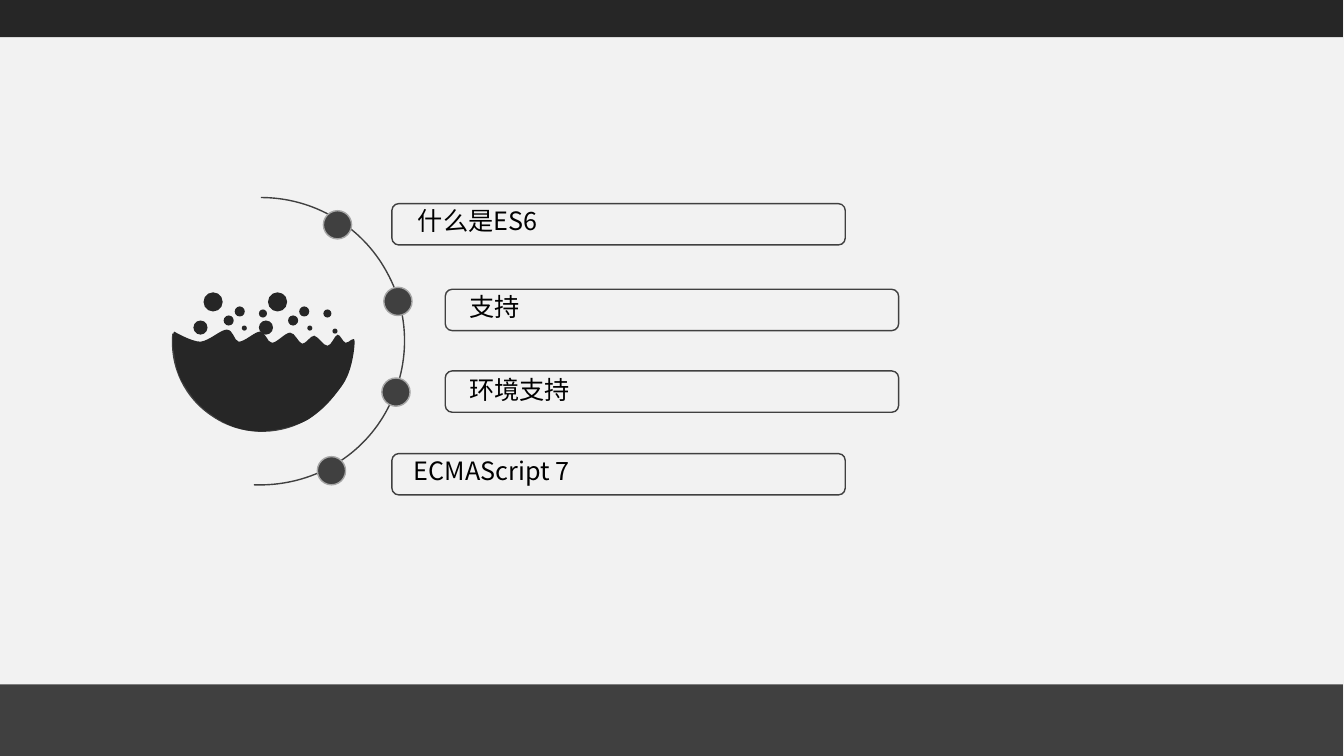
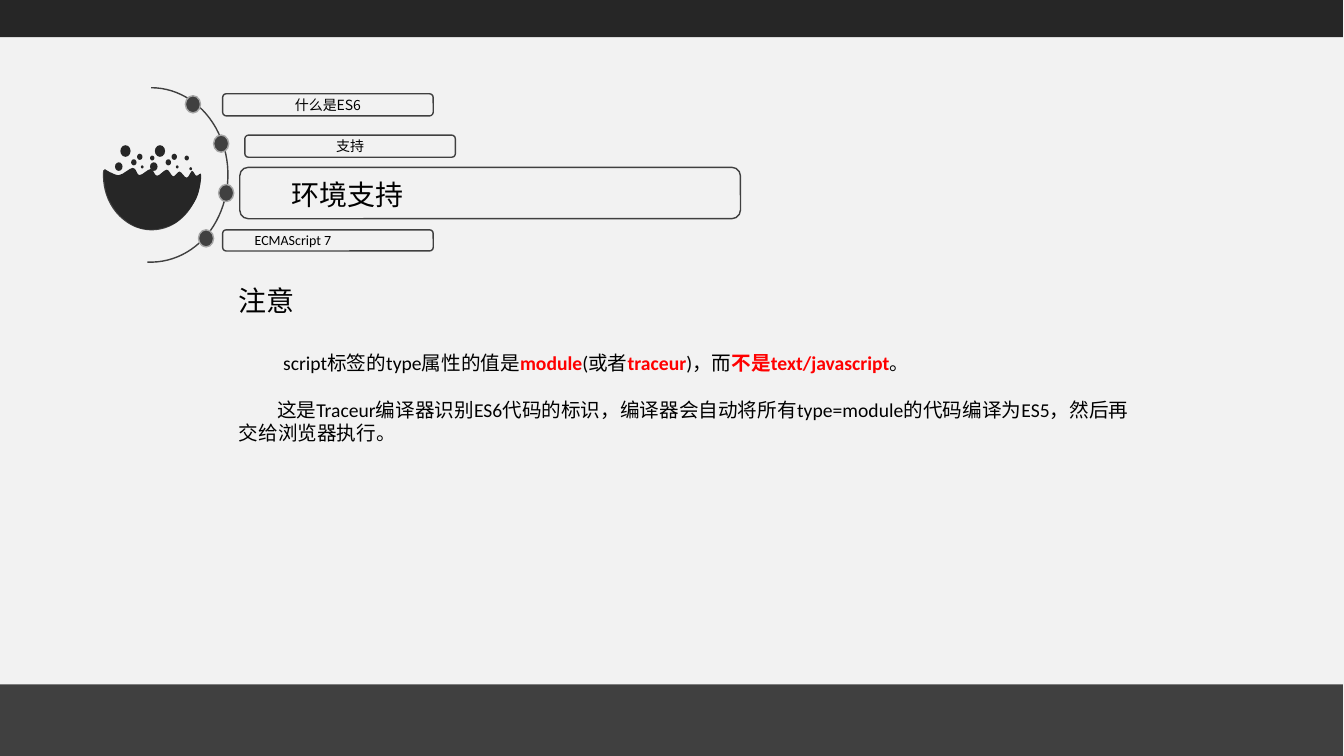
"""Build an agenda slide and a section slide that share a bowl-and-arc motif."""
from lxml.etree import SubElement
from pptx import Presentation
from pptx.dml.color import RGBColor
from pptx.enum.shapes import MSO_SHAPE
from pptx.enum.text import MSO_ANCHOR, MSO_AUTO_SIZE, PP_ALIGN
from pptx.oxml.ns import qn
from pptx.util import Pt

PX = 9144
WIDTH, HEIGHT = 1334, 750

PAPER = RGBColor(0xF2, 0xF2, 0xF2)
DARK = RGBColor(0x26, 0x26, 0x26)
GREY = RGBColor(0x40, 0x40, 0x40)
RIM = RGBColor(0xA6, 0xA6, 0xA6)
BLACK = RGBColor(0, 0, 0)
RED = RGBColor(0xFF, 0, 0)

CJK, LATIN = "Noto Sans CJK SC", "Calibri"

BANDS = [(0, 679, 1333, 71, GREY), (0, 0, 1333, 37, DARK)]

ARC = [
    (259, 196), (311, 196), (359, 224), (384, 270), (409, 315), (407, 370),
    (380, 414), (353, 458), (304, 483), (252, 481),
]
BOWL_RIM = [
    (349, 339), (349, 371), (331, 401), (302, 417), (274, 432), (239, 431),
    (212, 413), (184, 395), (169, 364), (172, 331),
]
BOWL = [
    (173, 329), (173, 329), (190, 339), (199, 339), (208, 338), (219, 327),
    (225, 327), (232, 327), (232, 338), (237, 339), (243, 339), (253, 329),
    (258, 329), (264, 329), (265, 340), (270, 340), (275, 340), (283, 330),
    (288, 330), (293, 330), (296, 340), (300, 341), (304, 341), (308, 333),
    (312, 333), (316, 334), (321, 343), (325, 343), (329, 343), (332, 333),
    (335, 332), (338, 332), (340, 339), (343, 340), (346, 341), (352, 332),
    (352, 339), (352, 345), (350, 364), (343, 377), (336, 390), (319, 407),
    (309, 414), (299, 422), (272, 428), (256, 428), (240, 427), (228, 424),
    (211, 412), (194, 401), (187, 388), (180, 377), (174, 366), (174, 354),
    (172, 346), (171, 338), (172, 328), (173, 329),
]
BUBBLES = [
    (202, 290, 19), (233, 304, 10), (222, 313, 10), (240, 323, 5),
    (257, 307, 8), (192, 318, 14), (266, 290, 19), (297, 304, 10),
    (286, 313, 10), (330, 326, 5), (305, 323, 5), (321, 307, 8),
    (257, 318, 14),
]

AGENDA = {
    "origin": (259, 196), "scale": (1, 1), "dot": (28, 28),
    "dots": [(321, 209), (381, 285), (379, 375), (315, 453)],
    "frames": [
        ("", (389, 202, 450, 41)), ("", (442, 287, 450, 41)),
        ("", (442, 368, 450, 41)), ("", (389, 450, 450, 41)),
    ],
    "labels": [
        ("什么是ES6", (405, 199, 391, 40), 18, CJK),
        ("支持", (456, 284, 373, 40), 18, CJK),
        ("环境支持", (456, 366, 313, 40), 18, CJK),
        ("ECMAScript 7", (401, 447, 313, 40), 18, CJK),
    ],
}
SECTION = {
    "origin": (150, 87), "scale": (0.535, 0.607), "dot": (15, 17),
    "dots": [(184, 95), (212, 134), (217, 183), (197, 228)],
    "frames": [
        ("什么是ES6", (221, 93, 209, 22)), ("支持", (243, 134, 209, 22)),
        ("", (238, 166, 497, 51)), ("", (221, 228, 209, 21)),
    ],
    "labels": [("ECMAScript 7", (243, 225, 167, 27), 10, LATIN)],
}
TITLE, TITLE_BOX = "环境支持", (279, 171, 504, 44)
BODY_BOX = (227, 276, 920, 170)
BODY = [
    {"size": 20, "line": 24, "before": 0, "indent": 0,
     "runs": [("注意", False)]},
    {"size": 14, "line": 16.5, "before": 24.5, "indent": 44,
     "runs": [("script标签的type属性的值是", False), ("module", True),
              ("(或者", False), ("traceur", True), (")，而", False),
              ("不是text/javascript", True), ("。", False)]},
    {"size": 14, "line": 16.5, "before": 17, "indent": 38,
     "runs": [("这是Traceur编译器识别ES6代码的标识，编译器会自动将所有"
               "type=module的代码编译为ES5，然后再交给浏览器执行。", False)]},
]


def emu(box):
    return [round(v * PX) for v in box]


def paint(sp, fill=None, line=None, width=1):
    sp.shadow.inherit = False
    if fill is None:
        sp.fill.background()
    else:
        sp.fill.solid()
        sp.fill.fore_color.rgb = fill
    if line is None:
        sp.line.fill.background()
    else:
        sp.line.color.rgb = line
        sp.line.width = Pt(width)
    return sp


def add_shape(s, kind, box, **look):
    return paint(s.shapes.add_shape(kind, *emu(box)), **look)


def add_curve(s, points, close=False, **look):
    start, *rest = [emu(point) for point in points]
    fb = s.shapes.build_freeform(*start)
    fb.add_line_segments(rest, close=close)
    sp = fb.convert_to_shape()
    lines = list(sp.element.iter(qn("a:lnTo")))
    for i in range(0, len(lines), 3):
        lines[i].tag = qn("a:cubicBezTo")
        for control in lines[i + 1:i + 3]:
            lines[i].append(control[0])
            control.getparent().remove(control)
    return paint(sp, **look)


def style(r, size, latin, color=BLACK, bold=False):
    r.font.size = Pt(size)
    r.font.name = latin
    r.font.bold = bold
    r.font.color.rgb = color
    SubElement(r.font._element, qn("a:ea")).set("typeface", CJK)


def write(sp, text, size, latin, align=PP_ALIGN.LEFT):
    tf = sp.text_frame
    tf.text = text
    tf.word_wrap = True
    p = tf.paragraphs[0]
    p.alignment = align
    style(p.runs[0], size, latin)
    return tf


def move(sp, box):
    sp.left, sp.top, sp.width, sp.height = emu(box)


def add_motif(s, look):
    (ox, oy), (sx, sy) = look["origin"], look["scale"]
    ax, ay = AGENDA["origin"]

    def place(point):
        x, y = point
        return ox + (x - ax) * sx, oy + (y - ay) * sy

    add_curve(s, map(place, BOWL_RIM), line=GREY, width=1.5)
    add_curve(s, map(place, BOWL), close=True, fill=DARK)
    for x, y, d in BUBBLES:
        box = (*place((x, y)), d * sx, d * sy)
        add_shape(s, MSO_SHAPE.OVAL, box, fill=DARK)
    add_curve(s, map(place, ARC), line=GREY)
    for dot in look["dots"]:
        add_shape(s, MSO_SHAPE.OVAL, dot + look["dot"], fill=GREY, line=RIM)


def add_labels(s, look):
    for text, box in look["frames"]:
        sp = add_shape(s, MSO_SHAPE.ROUNDED_RECTANGLE, box, line=GREY)
        sp.adjustments[0] = 0.167
        if text:
            tf = write(sp, text, 10, CJK, PP_ALIGN.CENTER)
            tf.vertical_anchor = MSO_ANCHOR.MIDDLE
    for text, box, size, latin in look["labels"]:
        tf = write(s.shapes.add_textbox(*emu(box)), text, size, latin)
        tf.auto_size = MSO_AUTO_SIZE.SHAPE_TO_FIT_TEXT


def add_title(s):
    move(s.shapes.title, TITLE_BOX)
    tf = write(s.shapes.title, TITLE, 20, CJK)
    tf.auto_size = MSO_AUTO_SIZE.NONE
    tf.vertical_anchor = MSO_ANCHOR.MIDDLE


def add_body(s):
    body = s.placeholders[1]
    move(body, BODY_BOX)
    tf = body.text_frame
    tf.auto_size = MSO_AUTO_SIZE.NONE
    for i, item in enumerate(BODY):
        p = tf.add_paragraph() if i else tf.paragraphs[0]
        p.line_spacing = Pt(item["line"])
        p.space_before = Pt(item["before"])
        pPr = p._p.get_or_add_pPr()
        pPr.set("marL", "0")
        pPr.set("indent", str(item["indent"] * PX))
        SubElement(pPr, qn("a:buNone"))
        for text, key in item["runs"]:
            r = p.add_run()
            r.text = text
            style(r, item["size"], LATIN, RED if key else BLACK, key)


def set_master(prs, s):
    master = prs.slide_master
    master.background.fill.solid()
    master.background.fill.fore_color.rgb = PAPER
    for *box, color in BANDS:
        band = add_shape(s, MSO_SHAPE.RECTANGLE, box, fill=color)
        master.element.cSld.spTree.insert(2, band.element)


def main():
    prs = Presentation()
    prs.slide_width, prs.slide_height = emu((WIDTH, HEIGHT))
    agenda = prs.slides.add_slide(prs.slide_layouts[6])
    section = prs.slides.add_slide(prs.slide_layouts[1])
    set_master(prs, agenda)
    for s, look in ((agenda, AGENDA), (section, SECTION)):
        add_motif(s, look)
        add_labels(s, look)
    add_title(section)
    add_body(section)
    prs.save("out.pptx")


if __name__ == "__main__":
    main()
